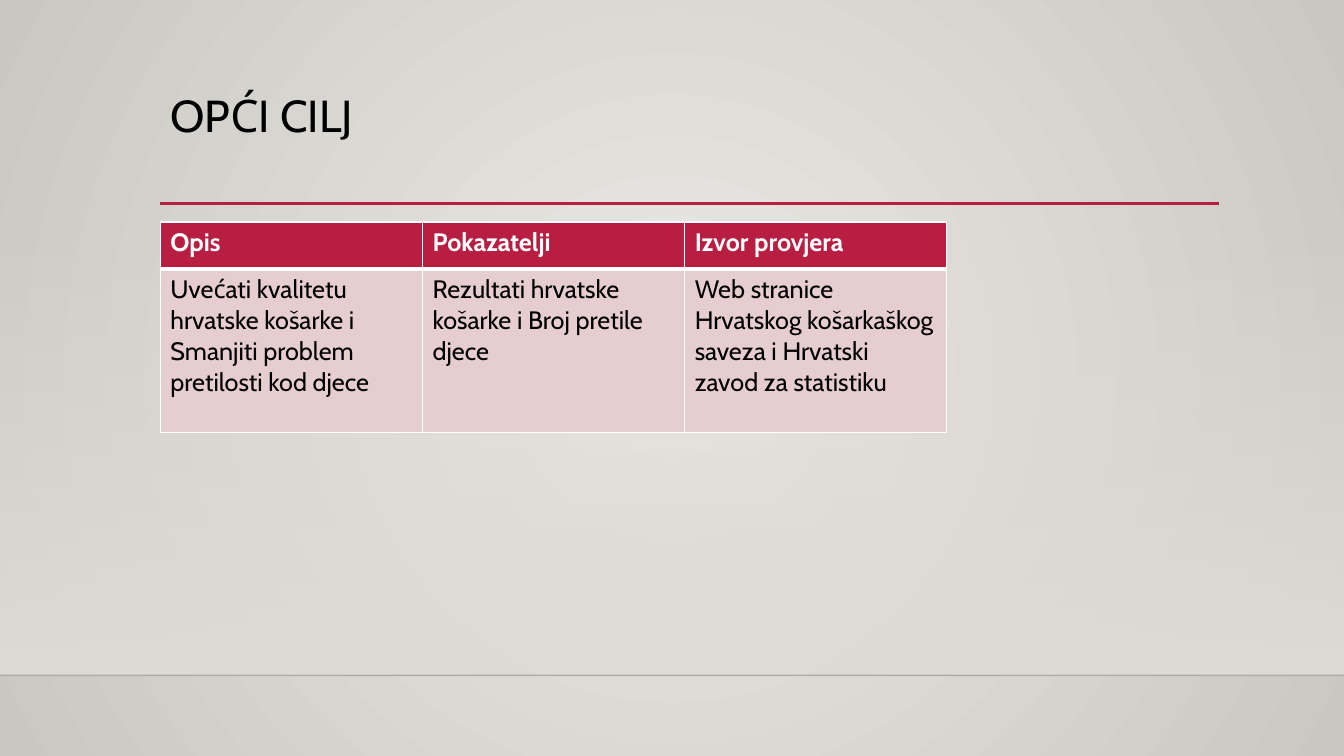
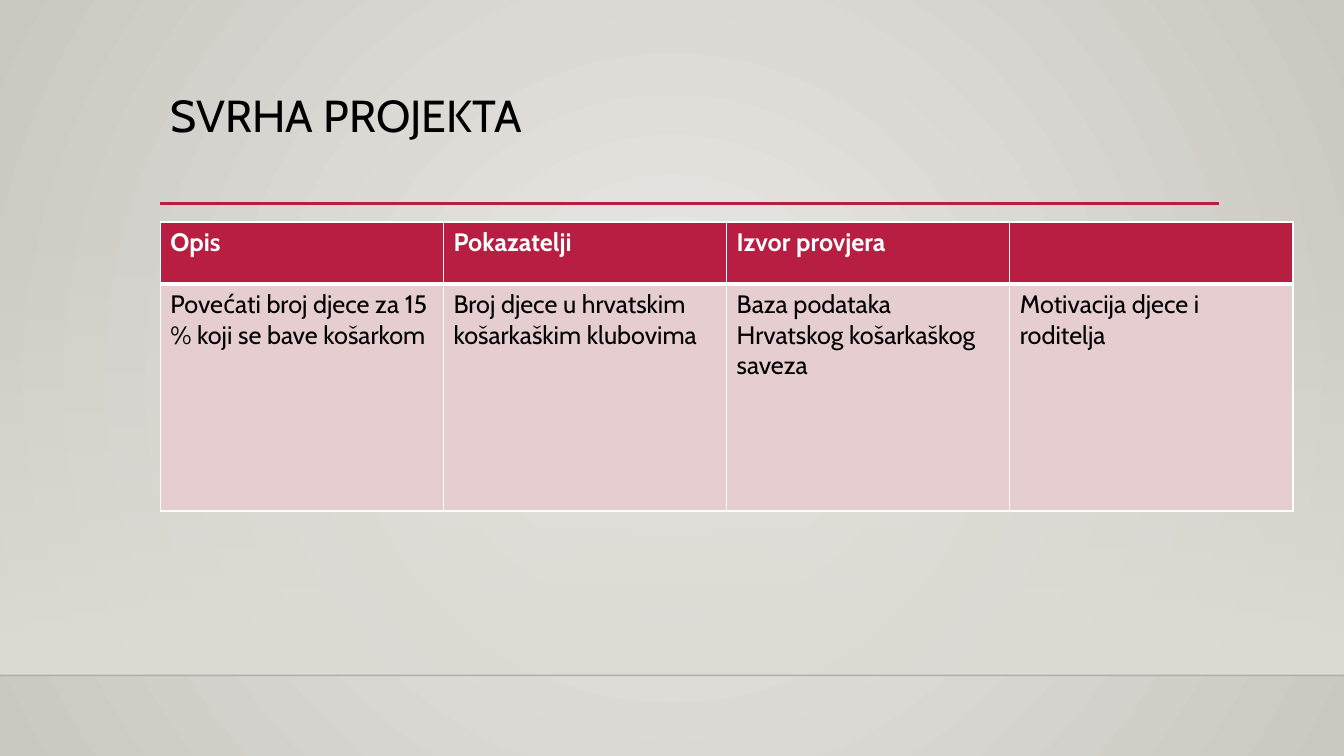
from lxml import etree
from pptx import Presentation
from pptx.dml.color import RGBColor
from pptx.enum.dml import MSO_LINE
from pptx.enum.shapes import MSO_CONNECTOR, MSO_SHAPE
from pptx.enum.text import MSO_ANCHOR, MSO_AUTO_SIZE, PP_ALIGN
from pptx.oxml.ns import qn
from pptx.util import Pt

STRAIGHT = MSO_CONNECTOR.STRAIGHT
RECTANGLE = MSO_SHAPE.RECTANGLE
SOLID = MSO_LINE.SOLID
TOP = MSO_ANCHOR.TOP
LEFT = PP_ALIGN.LEFT
NO_AUTOFIT = MSO_AUTO_SIZE.NONE

CRIMSON = RGBColor(0xB7, 0x1E, 0x42)
PINK = RGBColor(0xE6, 0xCD, 0xCF)
WHITE = RGBColor(0xFF, 0xFF, 0xFF)
BLACK = RGBColor(0x00, 0x00, 0x00)
SAND = RGBColor(0xDF, 0xDB, 0xD5)
BACKDROP_CENTRE = RGBColor(0xEC, 0xEA, 0xE7)
BACKDROP_EDGE = RGBColor(0xCA, 0xC7, 0xC1)

FONT = "Cabin"
SLIDE_WIDTH, SLIDE_HEIGHT = 960, 540
MARGIN = 114.5
CONTENT_WIDTH = 756.5
RULE_Y = 145.5
BAND_TOP, FLOOR_Y = 159, 482.4
TABLE_TOP = 158.6


def set_alpha(colour_parent, percent):
    """Give the RGB colour below the element an opacity in percent."""
    colour = colour_parent.find(".//" + qn("a:srgbClr"))
    etree.SubElement(colour, qn("a:alpha"), val=str(percent * 1000))


class Deck:
    """Holds the shared style and the slide being built."""

    def __init__(self):
        self.prs = Presentation()
        self.prs.slide_width = Pt(SLIDE_WIDTH)
        self.prs.slide_height = Pt(SLIDE_HEIGHT)
        self.slide = None
        self.backdrop()

    def gradient(self, fill, start, end):
        fill.gradient()
        for stop, colour in zip(fill.gradient_stops, (start, end)):
            stop.color.rgb = colour

    def backdrop(self):
        """Put a radial gradient behind every slide, on the master."""
        master = self.prs.slide_master
        self.gradient(master.background.fill, BACKDROP_CENTRE, BACKDROP_EDGE)
        gradient = master.element.find(".//" + qn("a:gradFill"))
        linear = gradient.find(qn("a:lin"))
        radial = etree.Element(qn("a:path"), path="circle")
        etree.SubElement(radial, qn("a:fillToRect"),
                         l="50000", t="50000", r="50000", b="50000")
        gradient.replace(linear, radial)

    def new_slide(self, title):
        self.slide = self.prs.slides.add_slide(self.prs.slide_layouts[5])
        self.band()
        self.rule(0, SLIDE_WIDTH, FLOOR_Y, BLACK, 1, opacity=20)
        self.rule(MARGIN, MARGIN + CONTENT_WIDTH, RULE_Y, CRIMSON, 2.5)
        self.title(title)

    def band(self):
        """Draw the wall tint that fades in towards the floor line."""
        band = self.slide.shapes.add_shape(
            RECTANGLE, 0, Pt(BAND_TOP), Pt(SLIDE_WIDTH), Pt(FLOOR_Y - BAND_TOP))
        band.shadow.inherit = False
        band.line.fill.background()
        self.gradient(band.fill, SAND, SAND)
        band.fill.gradient_angle = 270
        set_alpha(band.element.find(".//" + qn("a:gs")), 0)

    def rule(self, left, right, y, colour, width, opacity=100):
        rule = self.slide.shapes.add_connector(
            STRAIGHT, Pt(left), Pt(y), Pt(right), Pt(y))
        rule.line.color.rgb = colour
        rule.line.width = Pt(width)
        rule.line.dash_style = SOLID
        properties = rule.element.find(qn("p:spPr"))
        if opacity < 100:
            set_alpha(properties, opacity)
        etree.SubElement(properties, qn("a:effectLst"))

    def title(self, wording):
        title = self.slide.shapes.title
        title.left, title.top = Pt(MARGIN), Pt(63.4)
        title.width, title.height = Pt(CONTENT_WIDTH), Pt(82.5)
        frame = title.text_frame
        frame.word_wrap = True
        frame.auto_size = NO_AUTOFIT
        frame.vertical_anchor = TOP
        paragraph = frame.paragraphs[0]
        paragraph.alignment = LEFT
        paragraph.line_spacing = 0.9
        self.run(paragraph, wording, 32, BLACK)

    def run(self, paragraph, wording, size, colour, bold=False):
        run = paragraph.add_run()
        run.text = wording
        run.font.name = FONT
        run.font.size = Pt(size)
        run.font.bold = bold
        run.font.color.rgb = colour

    def table(self, column_width, row_heights, rows):
        """Add a table; each cell is a list of paragraphs, the first row a header."""
        columns = len(rows[0])
        table = self.slide.shapes.add_table(
            len(rows), columns, Pt(MARGIN), Pt(TABLE_TOP),
            Pt(column_width * columns), Pt(sum(row_heights))).table
        table.horz_banding = False
        for column in table.columns:
            column.width = Pt(column_width)
        for index, (height, row) in enumerate(zip(row_heights, rows)):
            table.rows[index].height = Pt(height)
            for cell, paragraphs in zip(table.rows[index].cells, row):
                self.cell(cell, paragraphs, header=index == 0)

    def cell(self, cell, paragraphs, header):
        self.borders(cell, top=1 if header else 3, bottom=3 if header else 1)
        cell.fill.solid()
        cell.fill.fore_color.rgb = CRIMSON if header else PINK
        frame = cell.text_frame
        for index, wording in enumerate(paragraphs):
            paragraph = frame.add_paragraph() if index else frame.paragraphs[0]
            self.run(paragraph, wording, 18, WHITE if header else BLACK, header)

    def borders(self, cell, top, bottom):
        properties = cell._tc.get_or_add_tcPr()
        for side, width in (("L", 1), ("R", 1), ("T", top), ("B", bottom)):
            line = etree.SubElement(properties, qn("a:ln" + side), w=str(Pt(width)))
            fill = etree.SubElement(line, qn("a:solidFill"))
            etree.SubElement(fill, qn("a:srgbClr"), val=str(WHITE))


def main():
    deck = Deck()
    headings = [["Opis"], ["Pokazatelji"], ["Izvor provjera"]]

    deck.new_slide("OPĆI CILJ")
    deck.table(187.3, (33.8, 116.8), [
        headings,
        [["Uvećati kvalitetu hrvatske košarke i",
          "Smanjiti problem pretilosti kod djece"],
         ["Rezultati hrvatske košarke i Broj pretile djece"],
         ["Web stranice Hrvatskog košarkaškog saveza i Hrvatski zavod za statistiku"]],
    ])

    deck.new_slide("SVRHA PROJEKTA")
    deck.table(202.3, (44.2, 162.2), [
        headings + [[]],
        [["Povećati broj djece za 15 % koji se bave košarkom"],
         ["Broj djece u hrvatskim košarkaškim klubovima"],
         ["Baza podataka Hrvatskog košarkaškog saveza"],
         ["Motivacija djece i roditelja"]],
    ])

    deck.prs.save("out.pptx")


if __name__ == "__main__":
    main()
